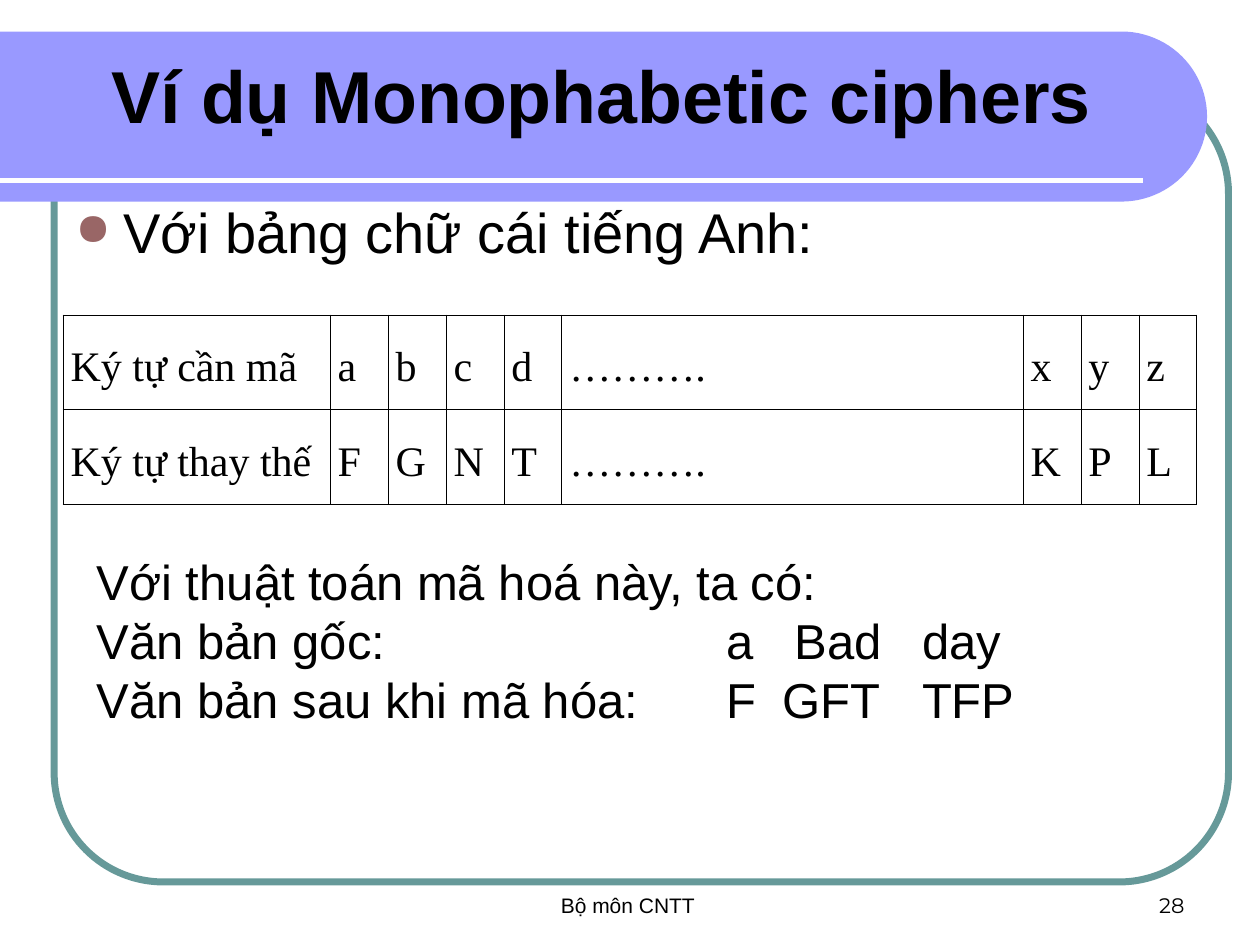
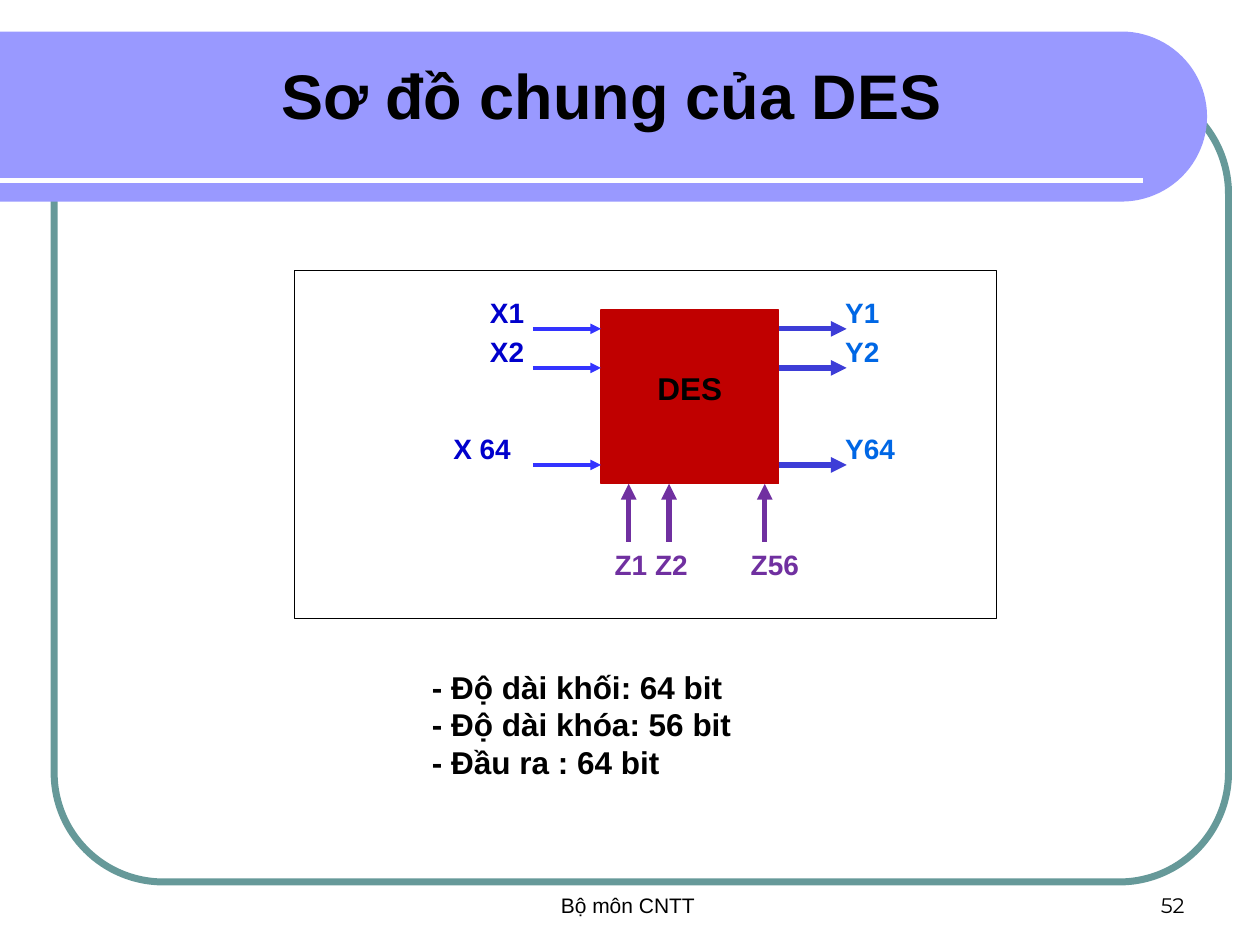
from math import cos, pi, sin

from lxml import etree
from pptx import Presentation
from pptx.dml.color import RGBColor
from pptx.enum.shapes import MSO_CONNECTOR, MSO_SHAPE
from pptx.enum.text import MSO_ANCHOR, MSO_AUTO_SIZE, PP_ALIGN
from pptx.oxml.ns import qn
from pptx.util import Inches, Pt

BLACK, WHITE = "000000", "FFFFFF"
BAND, FRAME, BULLET = "9999FF", "669999", "996666"
RED, PURPLE = "C00000", "7030A0"
INPUT_LINE, INPUT_TEXT = "3333FF", "0000CC"
OUTPUT_LINE, OUTPUT_TEXT = "3D3DD7", "0067E5"

FOOTER = {"size": 12, "anchor": MSO_ANCHOR.BOTTOM}
LABEL = {"size": 16, "bold": True}


def rgb(value):
    return RGBColor.from_string(value)


def set_attrs(obj, values):
    for name, value in values.items():
        setattr(obj, name, value)


def add_xml(parent, tag, **attrs):
    return etree.SubElement(parent, qn(tag), attrs)


def set_line(line, color, width):
    line.color.rgb = rgb(color)
    line.width = Pt(width)


def paint(sp, fill=None, line=None):
    sp.shadow.inherit = False
    if fill:
        sp.fill.solid()
        sp.fill.fore_color.rgb = rgb(fill)
    else:
        sp.fill.background()
    if line:
        set_line(sp.line, *line)
    else:
        sp.line.fill.background()


def write(p, text, size, color=BLACK, bold=False, font="Arial", align=PP_ALIGN.LEFT):
    p.alignment = align
    r = p.add_run()
    r.text = text
    set_attrs(r.font, {"name": font, "size": Pt(size), "bold": bold})
    r.font.color.rgb = rgb(color)


def fill_frame(tf, lines, anchor=MSO_ANCHOR.TOP, bottom=0.05, **style):
    set_attrs(tf, {
        "word_wrap": True, "auto_size": MSO_AUTO_SIZE.NONE, "vertical_anchor": anchor,
        "margin_left": Inches(0.1), "margin_right": Inches(0.1),
        "margin_top": Inches(0.05), "margin_bottom": Inches(bottom),
    })
    for i, line in enumerate(lines):
        p = tf.add_paragraph() if i else tf.paragraphs[0]
        write(p, line, **style)


def add_text(shapes, box, *lines, **style):
    tf = shapes.add_textbox(*map(Inches, box)).text_frame
    fill_frame(tf, lines, **style)
    return tf


def add_box(shapes, box, fill, line, shape=MSO_SHAPE.RECTANGLE):
    sp = shapes.add_shape(shape, *map(Inches, box))
    paint(sp, fill, line)
    return sp


def add_line(shapes, start, end, color, width, arrow=False):
    cx = shapes.add_connector(MSO_CONNECTOR.STRAIGHT, *map(Inches, start + end))
    set_line(cx.line, color, width)
    spPr = cx._element.spPr
    if arrow:
        add_xml(spPr.find(qn("a:ln")), "a:tailEnd", type="triangle")
    add_xml(spPr, "a:effectLst")
    return cx


def add_band(shapes):
    steps, radius, cx, cy = 48, 0.68, 8.9, 0.925
    angles = [pi * i / steps - pi / 2 for i in range(steps + 1)]
    arc = [(Inches(cx + radius * cos(a)), Inches(cy + 0.675 * sin(a))) for a in angles]
    fb = shapes.build_freeform(0, Inches(0.25))
    fb.add_line_segments(arc + [(0, Inches(1.6))], close=True)
    band = fb.convert_to_shape()
    paint(band, BAND)
    return band


def decorate_layout(layout, shapes):
    frame = add_box(shapes, (0.43, 0.67, 9.32, 6.33), None, (FRAME, 4),
                    MSO_SHAPE.ROUNDED_RECTANGLE)
    frame.adjustments[0] = 0.137
    rule = (0, 1.43), (9.07, 1.43)
    parts = [frame, add_band(shapes), add_line(shapes, *rule, WHITE, 3)]
    for i, sp in enumerate(parts):
        el = sp._element
        el.find(".//" + qn("p:cNvPr")).set("id", str(100 + i))
        layout.shapes._spTree.insert(2 + i, el)


def add_slide(prs, title, size, number):
    s = prs.slides.add_slide(prs.slide_layouts[5])
    left, top, width, height = map(Inches, (0.21, 0.25, 9.29, 1))
    sp = s.shapes.title
    set_attrs(sp, {"left": left, "top": top, "width": width, "height": height})
    fill_frame(sp.text_frame, [title], anchor=MSO_ANCHOR.MIDDLE, size=size, bold=True,
               align=PP_ALIGN.CENTER)
    add_text(s.shapes, (3.42, 6.83, 3.17, 0.5), "Bộ môn CNTT ",
             align=PP_ALIGN.CENTER, **FOOTER)
    add_text(s.shapes, (7.17, 6.83, 2.33, 0.5), number, font="Montserrat",
             align=PP_ALIGN.RIGHT, **FOOTER)
    return s


def add_bullet(p):
    pPr = p._p.get_or_add_pPr()
    indent = Inches(0.38)
    pPr.set("marL", str(indent))
    pPr.set("indent", str(-indent))
    add_xml(add_xml(pPr, "a:buClr"), "a:srgbClr", val=BULLET)
    add_xml(pPr, "a:buSzPct", val="80000")
    add_xml(pPr, "a:buChar", char="●")


def set_tabs(p, stops):
    tabs = add_xml(p._p.get_or_add_pPr(), "a:tabLst")
    for stop in stops:
        add_xml(tabs, "a:tab", pos=str(Inches(stop)), algn="l")


def set_borders(cell):
    tcPr = cell._tc.get_or_add_tcPr()
    for side in ("a:lnL", "a:lnR", "a:lnT", "a:lnB"):
        ln = add_xml(tcPr, side, w=str(Pt(0.45)))
        add_xml(add_xml(ln, "a:solidFill"), "a:srgbClr", val=BLACK)


def add_cipher_table(shapes, rows, widths):
    box = map(Inches, (0.5, 2.5, sum(widths), 1.5))
    table = shapes.add_table(len(rows), len(widths), *box).table
    set_attrs(table, {"first_row": False, "horz_banding": False})
    for column, width in zip(table.columns, widths):
        column.width = Inches(width)
    for i, row in enumerate(rows):
        for j, text in enumerate(row):
            cell = table.cell(i, j)
            set_attrs(cell, {"margin_left": Inches(0.06), "margin_right": Inches(0.06)})
            set_borders(cell)
            cell.fill.background()
            p = cell.text_frame.paragraphs[0]
            p.line_spacing = 1.5
            write(p, text, 24, font="Times New Roman", align=PP_ALIGN.JUSTIFY)


def build_cipher_slide(prs):
    s = add_slide(prs, "Ví dụ Monophabetic ciphers ", 42, "28")
    intro = add_text(s.shapes, (0.5, 1.58, 8.17, 0.75), "Với bảng chữ cái tiếng Anh:", size=32)
    p = intro.paragraphs[0]
    add_bullet(p)
    p.line_spacing = 0.9
    rows = [
        ["Ký tự cần mã", *"abcd", "……….", *"xyz"],
        ["Ký tự thay thế", *"FGNT", "……….", *"KPL"],
    ]
    add_cipher_table(s.shapes, rows, [2.12] + [0.46] * 4 + [3.66] + [0.46] * 3)
    example = add_text(
        s.shapes, (0.67, 4.33, 8.33, 1.5),
        "Với thuật toán mã hoá này, ta có:",
        "Văn bản gốc:\ta\tBad\tday",
        "Văn bản sau khi mã hóa:\tF\tGFT\tTFP",
        size=28)
    for p, word_stop in zip(example.paragraphs[1:], (5.54, 5.44)):
        set_tabs(p, (5, word_stop, 6.55))


def build_des_slide(prs):
    s = add_slide(prs, "Sơ đồ chung của DES", 36, "52")
    shapes = s.shapes.add_group_shape().shapes
    left, top, width, height = des = 4.77, 2.46, 1.41, 1.38
    right, bottom, arrow = left + width, top + height, 0.54
    add_box(shapes, (2.34, 2.15, 5.57, 2.76), WHITE, (BLACK, 0.75))
    block = add_box(shapes, des, RED, (RED, 0.75))
    fill_frame(block.text_frame, ["DES"], anchor=MSO_ANCHOR.MIDDLE, bottom=0.19,
               size=18, bold=True, align=PP_ALIGN.CENTER)

    signals = [(2.61, "X1", 3.79, "Y1"), (2.92, "X2", 3.79, "Y2"), (3.69, "X 64", 3.5, "Y64")]
    for y, x_name, x_left, y_name in signals:
        add_line(shapes, (left - arrow, y), (left, y), INPUT_LINE, 2, arrow=True)
        add_line(shapes, (right, y), (right + arrow, y), OUTPUT_LINE, 3, arrow=True)
        add_text(shapes, (x_left, y - 0.31, 4.44 - x_left, 0.46), x_name,
                 color=INPUT_TEXT, **LABEL)
        add_text(shapes, (6.61, y - 0.31, 0.65, 0.46), y_name, color=OUTPUT_TEXT, **LABEL)

    for x, name in [(4.99, "Z1"), (5.31, "Z2"), (6.07, "Z56")]:
        add_line(shapes, (x, 4.3), (x, bottom), PURPLE, 3, arrow=True)
        add_text(shapes, (x - 0.21, 4.3, 0.65, 0.46), name, color=PURPLE, **LABEL)

    add_text(s.shapes, (3.33, 5.25, 3.92, 1), "- Độ dài khối: 64 bit",
             "- Độ dài khóa: 56 bit", "- Đầu ra : 64 bit", size=18, bold=True)


def main():
    prs = Presentation()
    set_attrs(prs, {"slide_width": Inches(10), "slide_height": Inches(7.5)})
    build_cipher_slide(prs)
    build_des_slide(prs)
    decorate_layout(prs.slide_layouts[5], prs.slides[0].shapes)
    prs.save("out.pptx")


if __name__ == "__main__":
    main()
